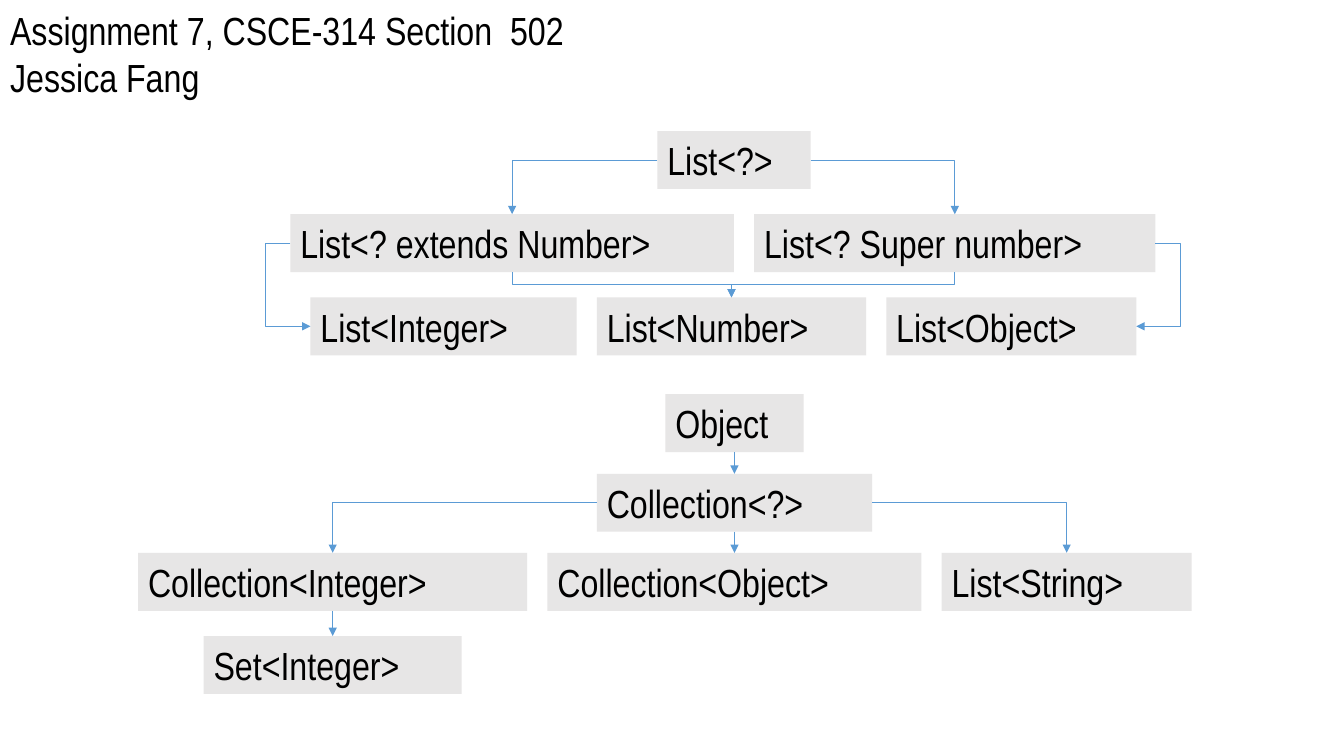
from lxml.etree import SubElement
from pptx import Presentation
from pptx.dml.color import RGBColor
from pptx.enum.shapes import MSO_CONNECTOR, MSO_SHAPE
from pptx.enum.text import MSO_ANCHOR, MSO_AUTO_SIZE, PP_ALIGN
from pptx.oxml.ns import qn
from pptx.util import Inches, Pt

GRID = 0.1
BOX_ROWS = 5.75
GAP_COLUMNS = 2
LOOP_COLUMNS = 2.5
TOP, LEFT, BOTTOM, RIGHT = range(4)


def grid(count):
    """Turn a number of grid columns or rows into a length."""
    return Inches(count * GRID)


def color(value):
    """Turn a hex string into a colour."""
    return RGBColor.from_string(value)


def write_lines(shape, lines, anchor):
    """Write one left-aligned paragraph per line into the shape."""
    frame = shape.text_frame
    frame.word_wrap = True
    frame.auto_size = MSO_AUTO_SIZE.NONE
    frame.vertical_anchor = anchor
    for index, line in enumerate(lines):
        para = frame.add_paragraph() if index else frame.paragraphs[0]
        para.alignment = PP_ALIGN.LEFT
        span = para.add_run()
        span.text = line
        span.font.name = "Arial Narrow"
        span.font.size = Pt(28)
        span.font.color.rgb = color("000000")


def add_title(page, left, top, width, height):
    """Move the title placeholder to the given box and fill it."""
    title = page.shapes.title
    title.left, title.top = grid(left), grid(top)
    title.width, title.height = grid(width), grid(height)
    write_lines(title, ["Assignment 7, CSCE-314 Section  502", "Jessica Fang"], MSO_ANCHOR.TOP)


def add_row(page, left, top, types):
    """Place type boxes side by side and return them in order."""
    boxes = []
    for name, width in types:
        box = page.shapes.add_shape(
            MSO_SHAPE.RECTANGLE, grid(left), grid(top), grid(width), grid(BOX_ROWS))
        box.shadow.inherit = False
        box.fill.solid()
        box.fill.fore_color.rgb = color("E7E6E6")
        box.line.fill.background()
        write_lines(box, [name], MSO_ANCHOR.MIDDLE)
        boxes.append(box)
        left += width + GAP_COLUMNS
    return boxes


def add_arrow(page, start, start_side, end, end_side, kind=MSO_CONNECTOR.STRAIGHT):
    """Join two boxes with a thin arrow."""
    arrow = page.shapes.add_connector(kind, 0, 0, 0, 0)
    arrow.begin_connect(start, start_side)
    arrow.end_connect(end, end_side)
    arrow.line.color.rgb = color("5B9BD5")
    arrow.line.width = Pt(0.5)
    SubElement(arrow.line._get_or_add_ln(), qn("a:tailEnd"), type="triangle")
    SubElement(arrow._element.spPr, qn("a:effectLst"))
    return arrow


def add_corner(page, start, side, end):
    """Lead an arrow sideways out of one box and down onto another."""
    arrow = add_arrow(page, start, side, end, TOP, MSO_CONNECTOR.ELBOW)
    arrow._element.spPr.find(qn("a:prstGeom")).set("prst", "bentConnector2")


def add_loop(page, start, end, side):
    """Lead an arrow out and back in on the same side of two boxes."""
    arrow = add_arrow(page, start, side, end, side, MSO_CONNECTOR.ELBOW)
    geometry = arrow._element.spPr.find(qn("a:prstGeom"))
    bend = round(-100000 * grid(LOOP_COLUMNS) / arrow.width)
    SubElement(geometry.get_or_add_avLst(), qn("a:gd"), name="adj1", fmla=f"val {bend}")


def add_merge(page, start, end):
    """Lead an arrow down, across and down onto a lower box."""
    arrow = add_arrow(page, start, BOTTOM, end, TOP, MSO_CONNECTOR.ELBOW)
    rightward = arrow.begin_x < arrow.end_x
    across, down = arrow.width, arrow.height
    shift = (across - down) // 2
    arrow.left, arrow.top = arrow.left + shift, arrow.top - shift
    arrow.width, arrow.height = down, across
    transform = arrow._element.spPr.find(qn("a:xfrm"))
    transform.set("rot", str((270 if rightward else 90) * 60000))
    transform.set("flipH", "1" if rightward else "0")


def add_list_tree(page, left, top):
    """Draw the hierarchy of list types from its top left corner."""
    (root,) = add_row(page, left + 36.4, top, [("List<?>", 15.2)])
    extends, supers = add_row(page, left, top + 8.25, [
        ("List<? extends Number>", 44), ("List<? Super number>", 39.8)])
    integers, numbers, objects = add_row(page, left + 2, top + 16.5, [
        ("List<Integer>", 26.4), ("List<Number>", 26.7), ("List<Object>", 24.8)])
    add_corner(page, root, LEFT, extends)
    add_corner(page, root, RIGHT, supers)
    for bound in (extends, supers):
        add_merge(page, bound, numbers)
    add_loop(page, extends, integers, LEFT)
    add_loop(page, supers, objects, RIGHT)


def add_collection_tree(page, left, top):
    """Draw the hierarchy of collection types from its top left corner."""
    (root,) = add_row(page, left + 52.3, top, [("Object", 13.7)])
    (collection,) = add_row(page, left + 45.5, top + 7.9, [("Collection<?>", 27.3)])
    integers, objects, strings = add_row(page, left, top + 15.75, [
        ("Collection<Integer>", 38.6), ("Collection<Object>", 37.1), ("List<String>", 24.8)])
    (integer_set,) = add_row(page, left + 6.5, top + 24, [("Set<Integer>", 25.6)])
    for upper, lower in ((root, collection), (collection, objects), (integers, integer_set)):
        add_arrow(page, upper, BOTTOM, lower, TOP)
    add_corner(page, collection, LEFT, integers)
    add_corner(page, collection, RIGHT, strings)


def main():
    """Build the slide and save the deck."""
    deck = Presentation()
    deck.slide_width, deck.slide_height = Inches(13.33), Inches(7.5)
    page = deck.slides.add_slide(deck.slide_layouts.get_by_name("Title Only"))
    add_title(page, 0, 0.1, 63.2, 10.4)
    add_list_tree(page, 28.8, 13)
    add_collection_tree(page, 13.7, 39.1)
    deck.save("out.pptx")


if __name__ == "__main__":
    main()
